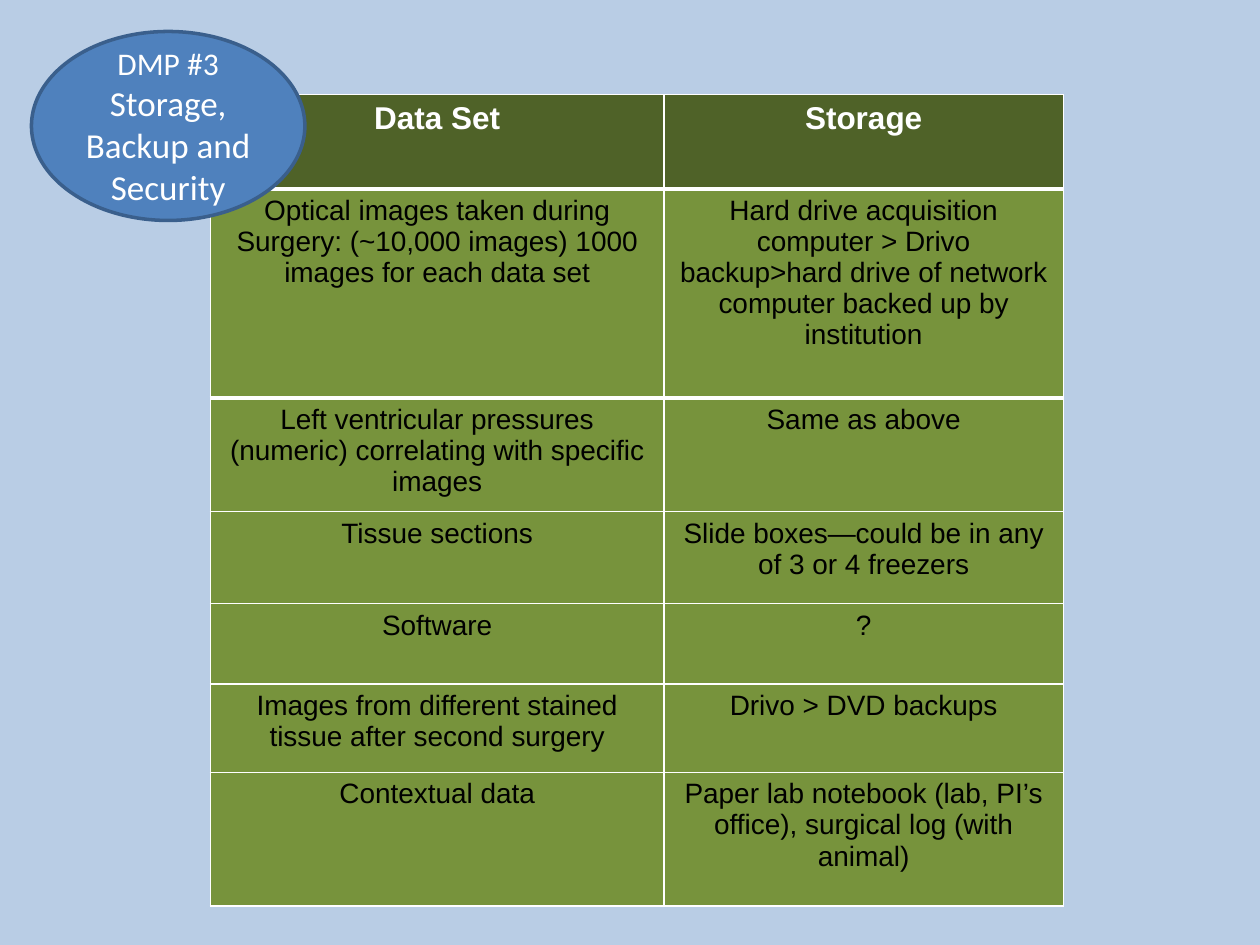
import pptx
import pptx.util
import pptx.dml.color
import pptx.enum.shapes
import pptx.enum.text
import pptx.oxml.ns
import lxml.etree

RGBColor = pptx.dml.color.RGBColor
SKY = RGBColor(0xB9, 0xCD, 0xE5)
WHITE = RGBColor(0xFF, 0xFF, 0xFF)
BLACK = RGBColor(0x00, 0x00, 0x00)
DARK_GREEN = RGBColor(0x4F, 0x62, 0x28)
GREEN = RGBColor(0x77, 0x93, 0x3C)
BLUE = RGBColor(0x4F, 0x81, 0xBD)
NAVY = RGBColor(0x3A, 0x5F, 0x8C)

WIDTH, HEIGHT = pptx.util.Inches(10), pptx.util.Inches(7.5)
THIN, THICK = 1, 3

# Column widths and row heights as relative weights
COLUMNS = [3.6, 3.17]
ROWS = [
    (0.75, "Data Set", "Storage"),
    (1.66, "Optical images taken during\nSurgery: (~10,000 images) 1000 images for each data set",
     "Hard drive acquisition computer > Drivo backup>hard drive of network "
     "computer backed up by institution"),
    (0.9, "Left ventricular pressures (numeric) correlating with specific images",
     "Same as above"),
    (0.73, "Tissue sections", "Slide boxes—could be in any of 3 or 4 freezers"),
    (0.64, "Software", "?"),
    (0.7, "Images from different stained tissue after second surgery",
     "Drivo > DVD backups"),
    (1.06, "Contextual data",
     "Paper lab notebook (lab, PI’s office), surgical log (with animal)"),
]
THICK_RULES = {1, 2}  # rules below the header and below the first data row


def write(tf, text, sizes, font="Arial", color=BLACK, bold=False):
    """Write one centred paragraph per line; the last size repeats."""
    for i, line in enumerate(text.split("\n")):
        p = tf.paragraphs[0] if i == 0 else tf.add_paragraph()
        p.alignment = pptx.enum.text.PP_ALIGN.CENTER
        r = p.add_run()
        r.text = line
        r.font.size = pptx.util.Pt(sizes[min(i, len(sizes) - 1)])
        r.font.name = font
        r.font.bold = bold
        r.font.color.rgb = color


def set_borders(cell, top, bottom):
    tc_pr = cell._tc.get_or_add_tcPr()
    for side, points in (("L", THIN), ("R", THIN), ("T", top), ("B", bottom)):
        ln = lxml.etree.SubElement(tc_pr, pptx.oxml.ns.qn(f"a:ln{side}"),
                                   w=str(pptx.util.Pt(points)))
        fill = lxml.etree.SubElement(ln, pptx.oxml.ns.qn("a:solidFill"))
        lxml.etree.SubElement(fill, pptx.oxml.ns.qn("a:srgbClr"), val=str(WHITE))


class Deck:
    """Holds the presentation and the current slide; places by slide shares."""

    def __init__(self, background):
        self.prs = pptx.Presentation()
        self.prs.slide_width, self.prs.slide_height = WIDTH, HEIGHT
        self.s = self.prs.slides.add_slide(self.prs.slide_layouts[6])
        self.s.background.fill.solid()
        self.s.background.fill.fore_color.rgb = background

    def box(self, x, y, w, h):
        return int(x * WIDTH), int(y * HEIGHT), int(w * WIDTH), int(h * HEIGHT)

    def table(self, x, y, w, h, columns, rows):
        left, top, width, height = self.box(x, y, w, h)
        frame = self.s.shapes.add_table(len(rows), len(columns), left, top, width, height)
        table = frame.table
        for column, weight in zip(table.columns, columns):
            column.width = int(width * weight / sum(columns))
        total = sum(row[0] for row in rows)
        for i, (weight, *texts) in enumerate(rows):
            table.rows[i].height = int(height * weight / total)
            header = i == 0
            for j, text in enumerate(texts):
                cell = table.cell(i, j)
                set_borders(cell, *(THICK if rule in THICK_RULES else THIN
                                    for rule in (i, i + 1)))
                cell.fill.solid()
                cell.fill.fore_color.rgb = DARK_GREEN if header else GREEN
                write(cell.text_frame, text, [18 if header else 16],
                      color=WHITE if header else BLACK, bold=header)

    def ellipse(self, x, y, w, h, text, sizes):
        sp = self.s.shapes.add_shape(pptx.enum.shapes.MSO_SHAPE.OVAL, *self.box(x, y, w, h))
        sp.shadow.inherit = False
        sp.fill.solid()
        sp.fill.fore_color.rgb = BLUE
        sp.line.color.rgb = NAVY
        sp.line.width = pptx.util.Pt(2)
        tf = sp.text_frame
        tf.word_wrap = True
        tf.vertical_anchor = pptx.enum.text.MSO_ANCHOR.MIDDLE
        write(tf, text, sizes, font="Calibri", color=WHITE)


def main():
    deck = Deck(SKY)
    # Storage plan for each data set
    deck.table(1.67 / 10, 0.1, 6.77 / 10, 6.44 / 7.5, COLUMNS, ROWS)
    # Topic badge over the table's corner
    deck.ellipse(0.25 / 10, 0.25 / 7.5, 2.17 / 10, 0.2,
                 "DMP #3\nStorage, Backup and Security", [18, 20])
    deck.prs.save("out.pptx")


if __name__ == "__main__":
    main()
